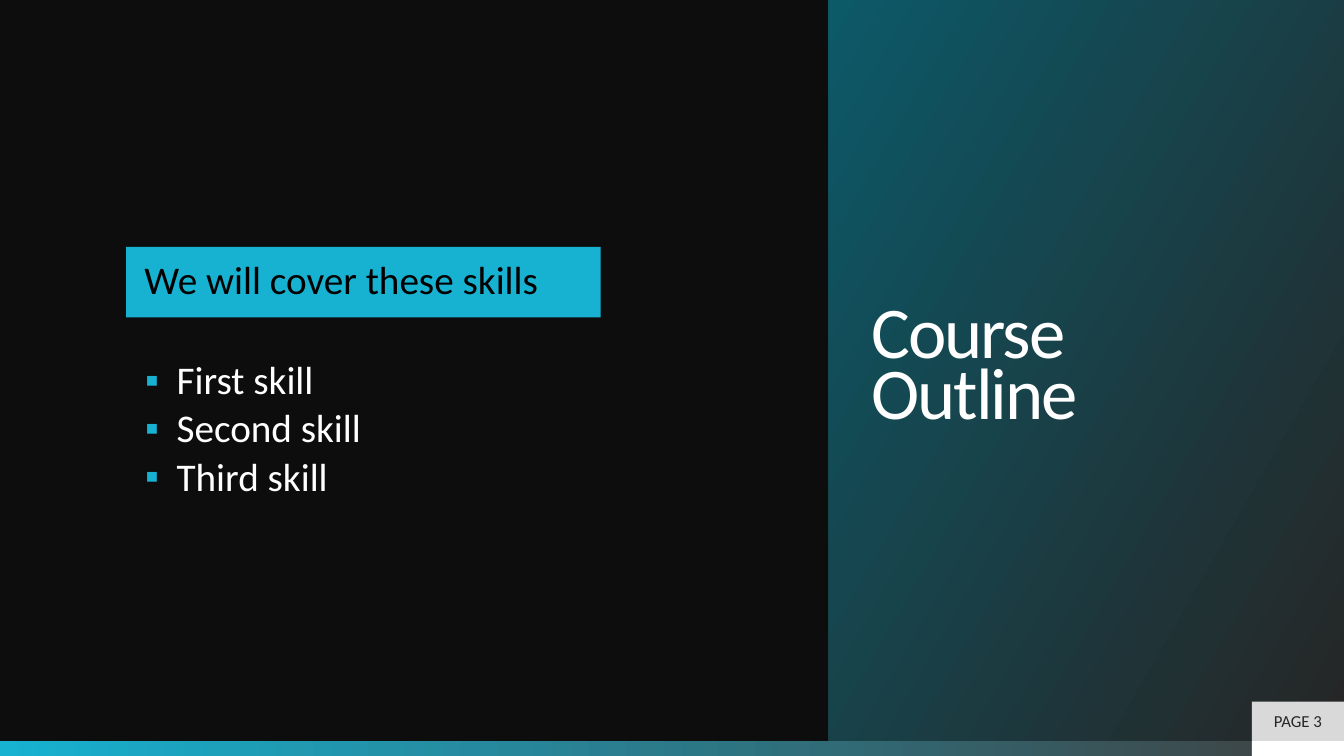
from dataclasses import dataclass

from lxml import etree
from pptx import Presentation
from pptx.dml.color import RGBColor
from pptx.enum.shapes import MSO_SHAPE
from pptx.enum.text import MSO_ANCHOR, MSO_AUTO_SIZE, PP_ALIGN
from pptx.oxml.ns import qn
from pptx.util import Cm, Pt

RECT = MSO_SHAPE.RECTANGLE
TOP, MIDDLE = MSO_ANCHOR.TOP, MSO_ANCHOR.MIDDLE
LEFT, CENTER = PP_ALIGN.LEFT, PP_ALIGN.CENTER
NO_AUTOFIT = MSO_AUTO_SIZE.NONE

FONT = "Calibri"
CYAN, WHITE, BLACK = "17B2D1", "FFFFFF", "000000"
DARK = "262626"

SLIDE_W, SLIDE_H = 33.87, 19.05
BAR_H = 0.38
BAR_TOP = SLIDE_H - BAR_H
PANEL_W = 12.99
BADGE_W, BADGE_H = 2.32, 0.99
BADGE_LEFT = SLIDE_W - BADGE_W


@dataclass
class Box:
    """Place and size in centimetres."""
    left: float
    top: float
    width: float
    height: float


@dataclass
class Stop:
    position: float
    color: str


def rgb(color: str) -> RGBColor:
    return RGBColor.from_string(color)


def place(sp, box: Box) -> None:
    sp.left, sp.top = Cm(box.left), Cm(box.top)
    sp.width, sp.height = Cm(box.width), Cm(box.height)


def set_gradient(sp, stops: list[Stop], angle: float) -> None:
    """Fill with a linear gradient; the angle runs counter-clockwise."""
    sp.fill.gradient()
    sp.fill.gradient_angle = angle
    for target, stop in zip(sp.fill.gradient_stops, stops):
        target.position = stop.position
        target.color.rgb = rgb(stop.color)


def add_rect(slide, box: Box, color: str = WHITE):
    sp = slide.shapes.add_shape(RECT, 0, 0, 0, 0)
    place(sp, box)
    sp.shadow.inherit = False
    sp.line.fill.background()
    sp.fill.solid()
    sp.fill.fore_color.rgb = rgb(color)
    return sp


def set_bullet(p, indent: float) -> None:
    pPr = p._p.get_or_add_pPr()
    pPr.set("marL", str(Cm(indent)))
    pPr.set("indent", str(-Cm(indent)))
    color = etree.SubElement(pPr, qn("a:buClr"))
    etree.SubElement(color, qn("a:srgbClr"), val=CYAN)
    etree.SubElement(pPr, qn("a:buChar"), char="▪")


def set_text(sp, lines: list[str], *, size: float, color: str,
             insets: tuple[float, float, float, float], anchor=MIDDLE,
             align=LEFT, line_spacing: float = 1.0, after: float = 0,
             tracking: float = 0, bullet_indent: float = 0) -> None:
    """Write one paragraph per line; insets are left, top, right, bottom."""
    tf = sp.text_frame
    tf.word_wrap = True
    tf.auto_size = NO_AUTOFIT
    tf.vertical_anchor = anchor
    (tf.margin_left, tf.margin_top,
     tf.margin_right, tf.margin_bottom) = map(Cm, insets)
    for i, line in enumerate(lines):
        p = tf.add_paragraph() if i else tf.paragraphs[0]
        p.text = line
        p.alignment = align
        p.line_spacing = line_spacing
        p.space_before, p.space_after = Pt(0), Pt(after)
        if bullet_indent:
            p.level = 1
            set_bullet(p, bullet_indent)
        for r in p.runs:
            r.font.name, r.font.size = FONT, Pt(size)
            r.font.color.rgb = rgb(color)
            if tracking:
                r._r.get_or_add_rPr().set("spc", str(round(tracking * 100)))


def main() -> None:
    prs = Presentation()
    prs.slide_width, prs.slide_height = Cm(SLIDE_W), Cm(SLIDE_H)
    slide = prs.slides.add_slide(prs.slide_layouts[1])
    slide.background.fill.solid()
    slide.background.fill.fore_color.rgb = rgb("0D0D0D")

    title, skills = slide.placeholders
    place(title, Box(SLIDE_W - PANEL_W, 0, PANEL_W, BAR_TOP))
    set_gradient(title, [Stop(0.01, DARK), Stop(1, "0C5968")], 150)
    set_text(title, ["Course\vOutline"], size=52, color=WHITE,
             insets=(1.09, 0.13, 1.09, 0.13), line_spacing=0.7, tracking=-1.5)

    place(skills, Box(2.34, 5.33, 17.09, 7.95))
    set_text(skills, ["First skill", "Second skill", "Third skill"],
             size=28, color=WHITE, insets=(1.32, 3.76, 1.32, 0.56),
             anchor=TOP, line_spacing=0.9, after=4.2, bullet_indent=0.79)

    heading = add_rect(slide, Box(3.18, 6.22, 11.96, 1.78), CYAN)
    set_text(heading, ["We will cover these skills"], size=28, color=BLACK,
             insets=(0.46, 0, 0.46, 0), line_spacing=0.9)

    footer = add_rect(slide, Box(0, BAR_TOP, SLIDE_W, BAR_H))
    set_gradient(footer, [Stop(0, CYAN), Stop(1, "404040")], 0)
    add_rect(slide, Box(BADGE_LEFT, BAR_TOP, BADGE_W, BAR_H))

    badge = add_rect(
        slide, Box(BADGE_LEFT, BAR_TOP - BADGE_H, BADGE_W, BADGE_H), "D9D9D9")
    set_text(badge, ["PAGE 3"], size=12, color=DARK, align=CENTER,
             insets=(0.25, 0.13, 0.25, 0.13))

    prs.save("out.pptx")


if __name__ == "__main__":
    main()
